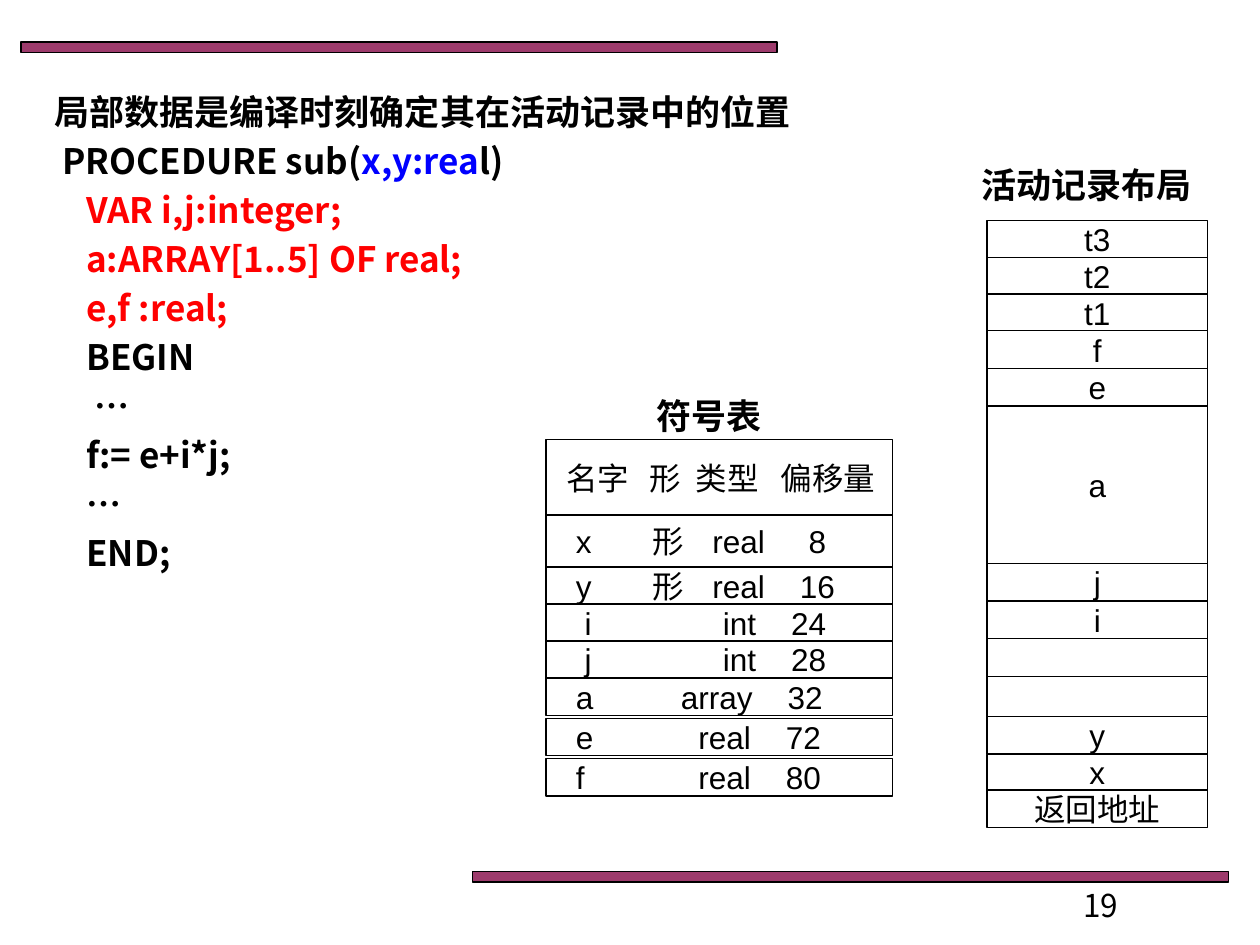
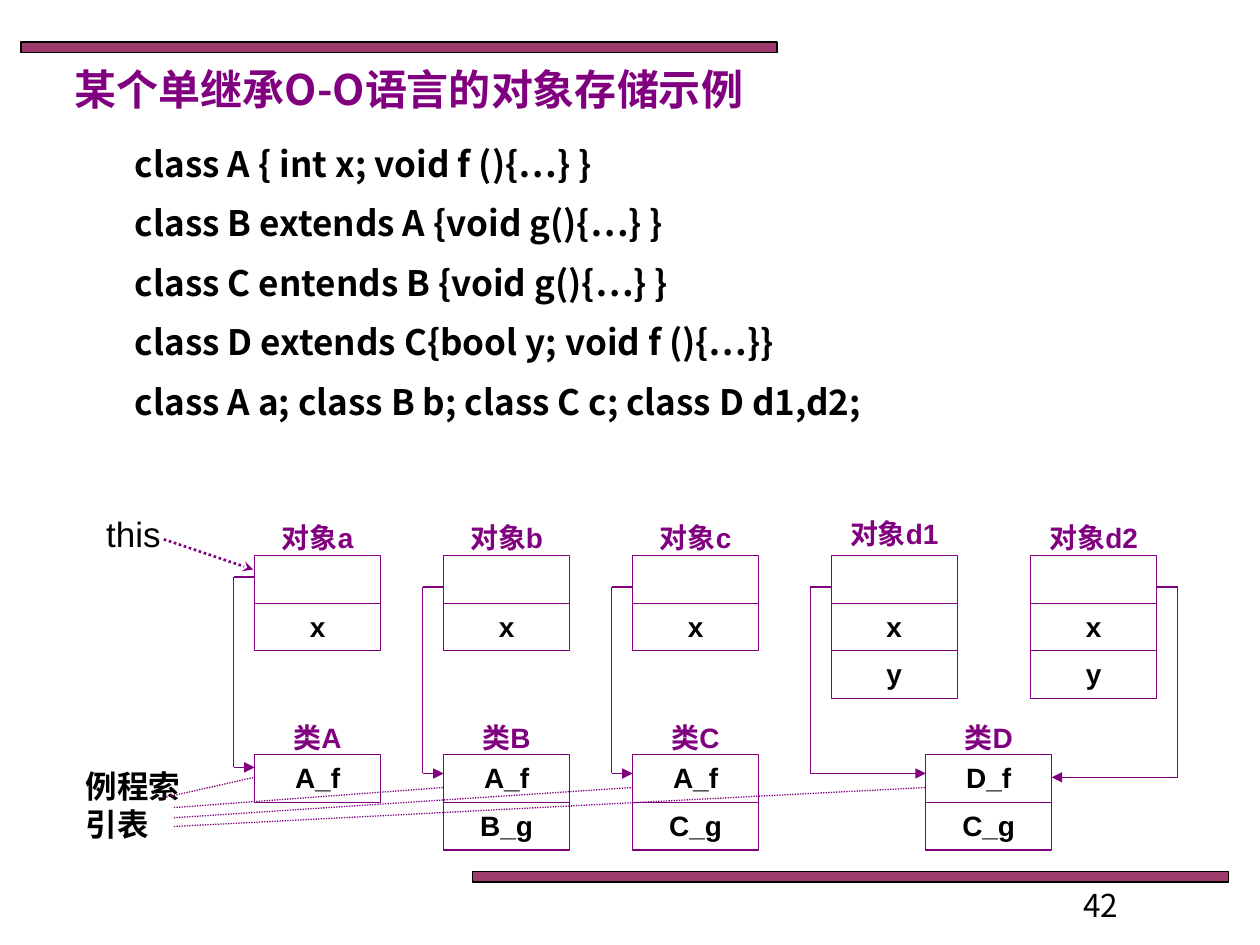
from dataclasses import dataclass
from itertools import pairwise

from lxml.etree import SubElement
from pptx import Presentation
from pptx.dml.color import RGBColor
from pptx.enum.dml import MSO_LINE
from pptx.enum.shapes import MSO_CONNECTOR as Connector, MSO_SHAPE as Shape
from pptx.enum.text import MSO_ANCHOR as Anchor, PP_ALIGN as Align
from pptx.oxml.ns import qn
from pptx.util import Pt


@dataclass(frozen=True)
class Theme:
    black: str = "000000"
    blue: str = "0000FF"
    red: str = "FF0000"
    purple: str = "800080"
    band: str = "993366"
    latin: str = "Arial"
    chinese: str = "Noto Sans CJK SC"
    title: int = 24
    code: int = 20
    body: int = 18
    diagram: int = 16
    hairline: float = 0.75


THEME = Theme()


class Builder:
    def __init__(self, theme):
        self.theme = theme
        self.deck = Presentation()
        self.deck.slide_width, self.deck.slide_height = Pt(720), Pt(540)
        self.page = None

    def new_page(self, number):
        self.page = self.deck.slides.add_slide(self.deck.slide_layouts[6])
        for left, top in ((12, 24), (270, 498)):
            band = self.rect(left, top, 432, 6, self.theme.black)
            band.fill.solid()
            band.fill.fore_color.rgb = RGBColor.from_string(self.theme.band)
            color = band.element.spPr.find(".//" + qn("a:srgbClr"))
            SubElement(color, qn("a:alpha"), val="96000")
        self.text(612, 502.5, 114, 13, [str(number)], self.theme.body)

    def rect(self, left, top, width, height, line_color):
        box = self.page.shapes.add_shape(
            Shape.RECTANGLE, Pt(left), Pt(top), Pt(width), Pt(height))
        box.shadow.inherit = False
        box.fill.background()
        box.line.color.rgb = RGBColor.from_string(line_color)
        box.line.width = Pt(self.theme.hairline)
        return box

    def set_lines(self, frame, lines, size, color=None, font=None, bold=False,
                  align=Align.LEFT, gap=0, stops=()):
        """Fill a frame; each line is a string or a list of (text, color) spans."""
        color = color or self.theme.black
        for index, line in enumerate(lines):
            para = frame.paragraphs[0] if index == 0 else frame.add_paragraph()
            para.alignment = align
            if index:
                para.space_before = Pt(gap)
            if stops:
                tabs = SubElement(para._p.get_or_add_pPr(), qn("a:tabLst"))
                for stop in stops:
                    SubElement(tabs, qn("a:tab"), pos=str(Pt(stop)), algn="l")
            spans = [(line, color)] if isinstance(line, str) else line
            for words, span_color in spans:
                span = para.add_run()
                span.text = words
                span.font.size = Pt(size)
                span.font.bold = bold
                span.font.color.rgb = RGBColor.from_string(span_color)
                span.font.name = font or self.theme.chinese
                SubElement(span._r.get_or_add_rPr(), qn("a:ea"),
                           typeface=self.theme.chinese)

    def text(self, left, top, width, height, lines, size, wrap=True, **style):
        box = self.page.shapes.add_textbox(Pt(left), Pt(top), Pt(width), Pt(height))
        box.text_frame.word_wrap = wrap
        self.set_lines(box.text_frame, lines, size, **style)

    def cell(self, left, top, width, height, words, size, line_color,
             anchor=Anchor.MIDDLE, wrap=False, align=Align.CENTER, **style):
        frame = self.rect(left, top, width, height, line_color).text_frame
        frame.vertical_anchor = anchor
        frame.word_wrap = wrap
        if words:
            self.set_lines(frame, [words], size, font=self.theme.latin, align=align,
                           **style)

    def line(self, start, end, width=None, dotted=False, head=None):
        link = self.page.shapes.add_connector(
            Connector.STRAIGHT, *(Pt(value) for value in (*start, *end)))
        link.line.color.rgb = RGBColor.from_string(self.theme.purple)
        link.line.width = Pt(width or self.theme.hairline)
        if dotted:
            link.line.dash_style = MSO_LINE.ROUND_DOT
        properties = link.element.spPr
        if head:
            SubElement(properties.find(qn("a:ln")), qn("a:tailEnd"), type=head)
        SubElement(properties, qn("a:effectLst"))

    def route(self, points):
        """Join the points with straight lines, the last one with an arrowhead."""
        for start, end in pairwise(points):
            self.line(start, end, head="triangle" if end == points[-1] else None)

    def diagram_label(self, left, top, words):
        self.text(left, top, 72, 26.6, [words], self.theme.diagram, bold=True,
                  color=self.theme.purple, font=self.theme.latin, align=Align.CENTER)

    def record(self, left, top, fields, name, label_top):
        """A named column of cells for an object or a class."""
        for row, field in enumerate(fields):
            self.cell(left, top + 27.2 * row, 72, 27.2, field, self.theme.diagram,
                      self.theme.purple, anchor=Anchor.TOP, wrap=True, bold=True)
        self.diagram_label(left, label_top, name)


def activation_record_page(builder):
    theme = builder.theme
    builder.new_page(19)
    procedure = [
        "局部数据是编译时刻确定其在活动记录中的位置",
        [(" PROCEDURE sub(", theme.black), ("x,y:rea", theme.blue), ("l)", theme.black)],
        *([(words, theme.red)] for words in (
            "    VAR i,j:integer;", "    a:ARRAY[1..5] OF real;", "    e,f :real;")),
        "    BEGIN", "     …", "    f:= e+i*j;", "    …", "    END;",
    ]
    builder.text(24, 48, 450, 356.5, procedure, theme.code, bold=True, gap=4)
    for left, top, width, caption in ((354, 222, 102, "符号表"),
                                      (552, 90, 138, "活动记录布局")):
        builder.text(left, top, width, 31.5, [caption], theme.code, bold=True,
                     align=Align.CENTER)

    formal_stops, int_stops = (10, 53.5, 88, 138), (15, 94, 133)
    real_stops = (10, 80, 130)
    symbol_rows = [
        (251.3, 43, "名字 形 类型 偏移量", (4.5, 52, 78.5, 127)),
        (294, 30, "x 形 real 8", (10, 53.5, 88, 143)),
        (324, 21.4, "y 形 real 16", formal_stops),
        (345, 21.4, "i int 24", int_stops),
        (366, 21.4, "j int 28", int_stops),
        (387.5, 21.4, "a array 32", (10, 70, 131)),
        (410.5, 21.4, "e real 72", real_stops),
        (433.5, 21.4, "f real 80", real_stops),
    ]
    for top, height, entries, stops in symbol_rows:
        words = "".join("\t" + entry for entry in entries.split())
        builder.cell(312, top, 198, height, words, theme.body, theme.black,
                     wrap=True, align=Align.LEFT, stops=stops)

    top = 126
    for name, height in (("t3", 21), ("t2", 21), ("t1", 21), ("f", 21.5), ("e", 21.5),
                         ("a", 90), ("j", 21.5), ("i", 21.5), ("", 21.5), ("", 23),
                         ("y", 21.5), ("x", 20.5), ("返回地址", 21.5)):
        builder.cell(564, top, 126, height, name, theme.body, theme.black)
        top += height


def object_storage_page(builder):
    theme = builder.theme
    builder.new_page(42)
    builder.text(35.7, 33, 590, 36, ["某个单继承O-O语言的对象存储示例"], theme.title,
                 color=theme.purple, bold=True)
    classes = [
        " class A { int x; void f (){…} }",
        " class B extends A {void g(){…} }",
        " class C entends B {void g(){…} }",
        " class D extends C{bool y; void f (){…}}",
        " class A a; class B b; class C c; class D d1,d2;",
    ]
    builder.text(65.5, 77.8, 600.5, 177, classes, theme.code, bold=True, gap=10)

    left_a, left_b, left_c = (145.5 + 108 * column for column in range(3))
    left_d1, left_d2, left_d = 475, 589, 529
    for left, name, fields, label_top in (
            (left_a, "a", ["", "x"], 293.8), (left_b, "b", ["", "x"], 293.8),
            (left_c, "c", ["", "x"], 293.8), (left_d1, "d1", ["", "x", "y"], 291.6),
            (left_d2, "d2", ["", "x", "y"], 293.8)):
        builder.record(left, 317.5, fields, "对象" + name, label_top)
    for left, name, methods in (
            (left_a, "A", ["A_f"]), (left_b, "B", ["A_f", "B_g"]),
            (left_c, "C", ["A_f", "C_g"]), (left_d, "D", ["D_f", "C_g"])):
        builder.record(left, 431.3, methods, "类" + name, 408.3)

    for left, start, end, target in (
            (left_a, 329.8, 438.5, left_a), (left_b, 335.5, 442, left_b),
            (left_c, 335.5, 442, left_c), (left_d1, 335.5, 442, left_d)):
        bend = left - 12
        builder.route([(left, start), (bend, start), (bend, end), (target, end)])
    right, bend = left_d2 + 72, left_d2 + 84
    builder.route([(right, 335.5), (bend, 335.5), (bend, 444.2), (left_d + 72, 444.2)])

    builder.text(41.8, 435, 74.2, 51, ["例程索引表"], theme.body, bold=True,
                 font=theme.latin)
    for start, end in (((93.6, 455.8), (left_a, 444.2)), ((99.4, 461.5), (left_b, 450)),
                       ((99.4, 467.3), (left_c, 450)), ((99.4, 472.3), (left_d, 450))):
        builder.line(start, end, dotted=True)
    builder.text(53.5, 289.5, 45.5, 31, ["this"], theme.code, wrap=False,
                 font=theme.latin, align=Align.CENTER)
    builder.line((93.6, 308.2), (144.7, 325.5), width=1.5, dotted=True, head="stealth")


def main():
    builder = Builder(THEME)
    activation_record_page(builder)
    object_storage_page(builder)
    builder.deck.save("out.pptx")


if __name__ == "__main__":
    main()
